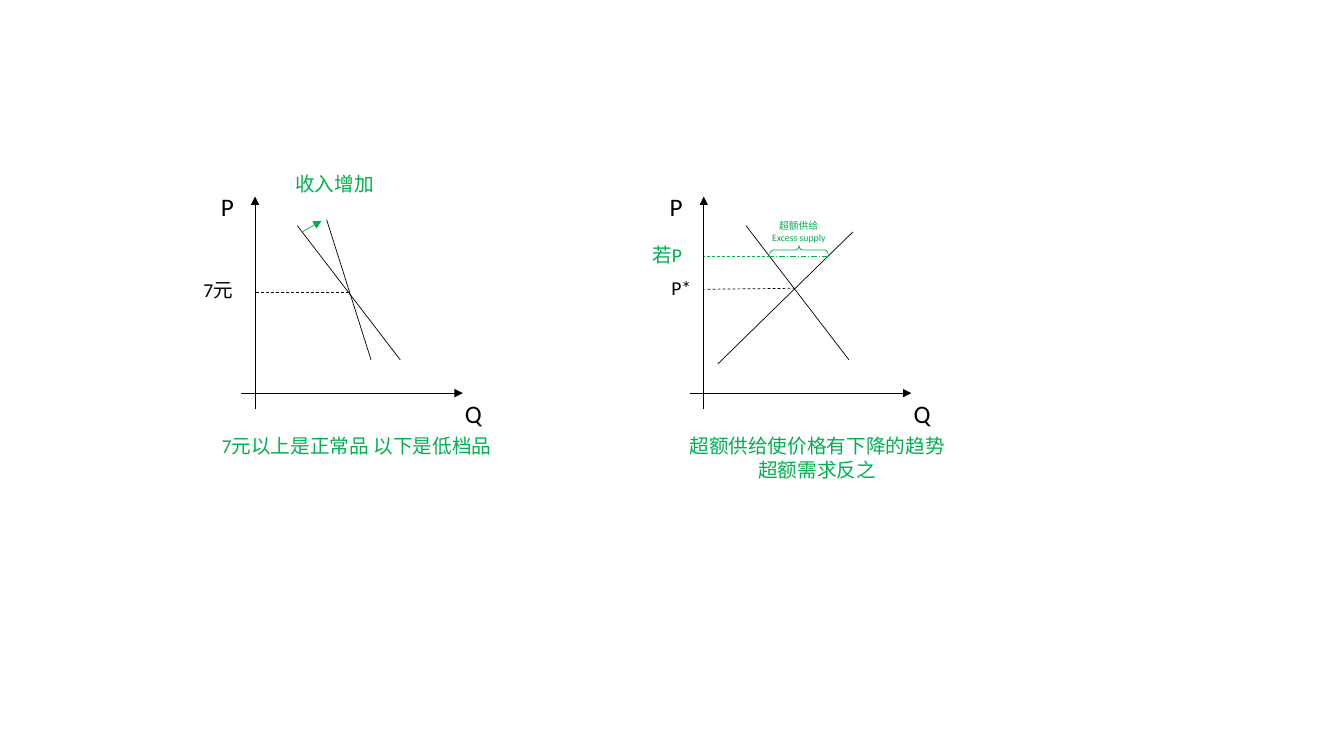
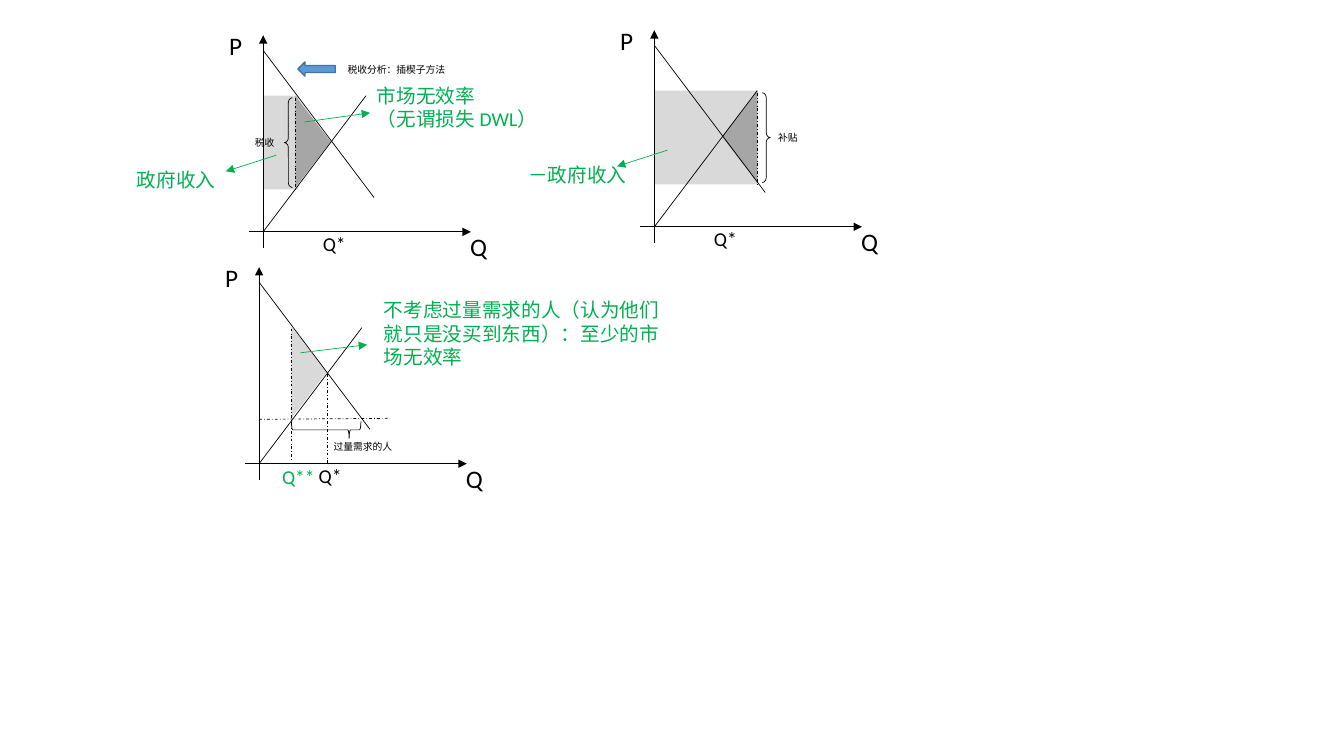
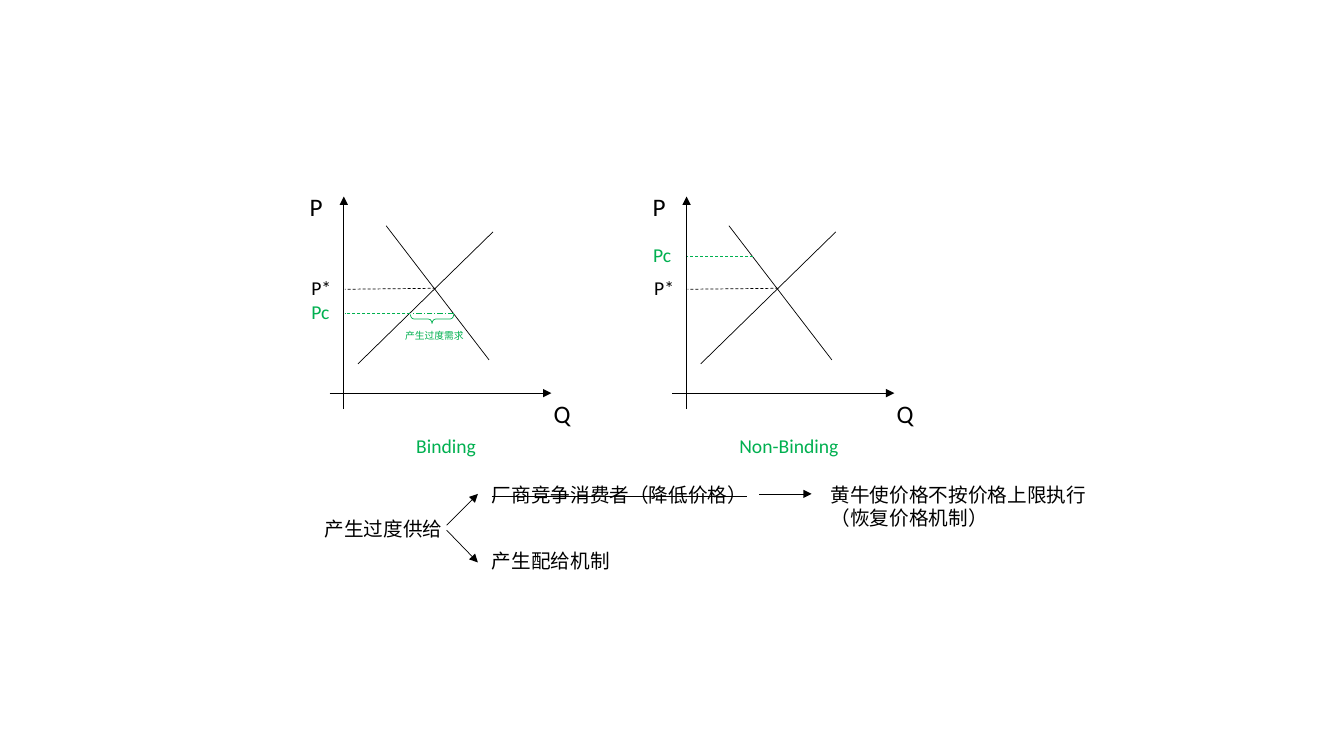
"""Build three slides of supply and demand diagrams."""
from pptx import Presentation
from pptx.dml.color import RGBColor
from pptx.enum.dml import MSO_LINE
from pptx.enum.shapes import MSO_CONNECTOR, MSO_SHAPE
from pptx.enum.text import MSO_AUTO_SIZE, PP_ALIGN
from pptx.oxml.ns import qn
from pptx.util import Inches, Pt

BLACK = RGBColor(0, 0, 0)
GREEN = RGBColor(0x00, 0xB0, 0x50)
LIGHT = RGBColor(0xD9, 0xD9, 0xD9)
DARK = RGBColor(0xA6, 0xA6, 0xA6)
BLUE = RGBColor(0x5B, 0x9B, 0xD5)
NAVY = RGBColor(0x43, 0x73, 0x9E)
FONT = "Calibri"
LARGE, MEDIUM, SMALL = 18, 14, 7

STRAIGHT = MSO_CONNECTOR.STRAIGHT
DASH, DASH_DOT, LONG_DASH_DOT = MSO_LINE.DASH, MSO_LINE.DASH_DOT, MSO_LINE.LONG_DASH_DOT
RECTANGLE, TRIANGLE = MSO_SHAPE.RECTANGLE, MSO_SHAPE.ISOSCELES_TRIANGLE
LEFT_BRACE, RIGHT_BRACE = MSO_SHAPE.LEFT_BRACE, MSO_SHAPE.RIGHT_BRACE
DOWN_ARROW = MSO_SHAPE.DOWN_ARROW
FIT_TEXT = MSO_AUTO_SIZE.SHAPE_TO_FIT_TEXT
CENTER = PP_ALIGN.CENTER

ARROW = {"arrow": True}
GREEN_ARROW = {"arrow": True, "color": GREEN}
GREEN_DASH = {"color": GREEN, "dash": DASH}
GREEN_DASH_DOT = {"color": GREEN, "dash": LONG_DASH_DOT}
BLACK_DASH = {"dash": DASH}
BLACK_DASH_DOT = {"dash": DASH_DOT}
CENTERED = {"align": CENTER}

# Diagram parts are measured from the point where the axes cross.
AXES = [(0, 0.16, 0, -1.95, ARROW), (-0.14, 0, 2.06, 0, ARROW)]
DEMAND = (0.42, -1.66, 1.44, -0.33, {})
P_LABEL = ("P", -0.43, -2.05, 0.19, LARGE, BLACK, {})
DIAGRAMS = {
    "income": {
        "lines": [DEMAND, (0.71, -1.72, 1.15, -0.33, {})],
        "texts": [P_LABEL, ("Q", 1.99, 0, 0.19, LARGE, BLACK, {})],
    },
    "market": {
        "lines": [DEMAND, (1.48, -1.6, 0.14, -0.29, {}),
                  (0.91, -1.04, 0.01, -1.03, BLACK_DASH)],
        "texts": [P_LABEL, ("Q", 1.99, 0, 0.19, LARGE, BLACK, {}),
                  ("P*", -0.42, -1.21, 0.56, MEDIUM, BLACK, {})],
    },
    "welfare": {
        "lines": [(0, -1.8, 1.1, -0.34, {}), (0, 0, 1.02, -1.35, {})],
        "texts": [P_LABEL, ("Q", 1.96, -0.05, 0.19, LARGE, BLACK, {}),
                  ("Q*", 0.46, -0.05, 0.49, MEDIUM, BLACK, CENTERED)],
    },
}

INCOME_PAGE = {
    "areas": [],
    "diagrams": [("income", 2.53, 3.9), ("market", 6.98, 3.9)],
    "lines": [
        (3, 2.3, 3.19, 2.19, GREEN_ARROW),
        (3.46, 2.9, 2.53, 2.9, BLACK_DASH),
        (7.64, 2.54, 6.98, 2.54, GREEN_DASH),
        (8.21, 2.54, 7.61, 2.54, GREEN_DASH_DOT),
    ],
    "marks": [(RIGHT_BRACE, 7.88, 2.19, 0.09, 0.58, 270, (0.4, 0.5), None, GREEN, 0.5)],
    "texts": [
        ("收入增加", 2.83, 1.66, 1.76, MEDIUM, GREEN, {}),
        ("7元", 1.92, 2.71, 1.76, MEDIUM, BLACK, {}),
        ("7元以上是正常品 以下是低档品", 2.1, 4.26, 3.11, MEDIUM, GREEN, {}),
        ("超额供给\nExcess supply", 7.56, 2.13, 1.76, SMALL, GREEN, {"indent": 0.07}),
        ("超额供给使价格有下降的趋势\n超额需求反之", 6.55, 4.26, 3.11, MEDIUM, GREEN, CENTERED),
        ("若P", 6.37, 2.36, 0.56, MEDIUM, GREEN, {}),
    ],
}

WELFARE_PAGE = {
    "areas": [
        (RECTANGLE, 2.61, 0.95, 0.35, 0.93, 0, (), LIGHT, None, 0),
        (TRIANGLE, 2.65, 1.23, 0.91, 0.35, 90, (), DARK, None, 0),
        (RECTANGLE, 6.49, 0.9, 1.03, 0.93, 0, (), LIGHT, None, 0),
        (TRIANGLE, 6.88, 1.18, 0.91, 0.35, 270, (), DARK, None, 0),
        (TRIANGLE, 2.61, 3.52, 0.91, 0.35, 90, (), LIGHT, None, 0),
    ],
    "diagrams": [("welfare", 2.61, 2.3), ("welfare", 6.49, 2.25), ("welfare", 2.57, 4.6)],
    "lines": [
        (2.93, 0.97, 2.93, 1.88, BLACK_DASH_DOT),
        (3.02, 1.21, 3.67, 1.12, GREEN_ARROW),
        (2.74, 1.54, 2.24, 1.7, GREEN_ARROW),
        (7.51, 0.92, 7.51, 1.83, BLACK_DASH_DOT),
        (6.62, 1.49, 6.12, 1.65, GREEN_ARROW),
        (3.25, 3.71, 3.25, 4.61, BLACK_DASH_DOT),
        (2.89, 3.26, 2.89, 4.58, BLACK_DASH_DOT),
        (2.98, 3.5, 3.64, 3.42, GREEN_ARROW),
        (2.57, 4.16, 3.87, 4.15, BLACK_DASH_DOT),
    ],
    "marks": [
        (LEFT_BRACE, 2.82, 0.97, 0.08, 0.89, 0, (0.59, 0.5), None, BLACK, 0.5),
        (DOWN_ARROW, 3.07, 0.5, 0.14, 0.37, 90, (), BLUE, NAVY, 1),
        (RIGHT_BRACE, 7.56, 0.92, 0.08, 0.89, 0, (0.59, 0.5), None, BLACK, 0.5),
        (RIGHT_BRACE, 3.15, 3.92, 0.17, 0.69, 90, (0.08, 0.17), None, BLACK, 0.5),
    ],
    "texts": [
        ("市场无效率\n（无谓损失 DWL）", 3.64, 0.78, 3.11, MEDIUM, GREEN, {}),
        ("税收", 2.43, 1.31, 3.11, SMALL, BLACK, {}),
        ("政府收入", 1.26, 1.62, 3.11, MEDIUM, GREEN, {}),
        ("税收分析：插楔子方法", 3.35, 0.58, 1.32, SMALL, BLACK, {}),
        ("补贴", 7.62, 1.26, 0.79, SMALL, BLACK, {}),
        ("－政府收入", 5.14, 1.57, 3.11, MEDIUM, GREEN, {}),
        ("不考虑过量需求的人（认为他们就只是没买到东西）：至少的市场无效率",
         3.71, 2.91, 3.11, MEDIUM, GREEN, {"rows": 3}),
        ("Q**", 2.64, 4.56, 0.64, MEDIUM, GREEN, CENTERED),
        ("过量需求的人", 3.21, 4.32, 3.11, SMALL, BLACK, {}),
    ],
}

CEILING_PAGE = {
    "areas": [],
    "diagrams": [("market", 3.41, 3.9), ("market", 6.81, 3.9)],
    "lines": [
        (4.07, 3.11, 3.42, 3.11, GREEN_DASH),
        (4.5, 3.11, 4.08, 3.11, GREEN_DASH_DOT),
        (7.47, 2.54, 6.81, 2.54, GREEN_DASH),
        (4.43, 5.21, 4.74, 4.9, ARROW),
        (4.43, 5.26, 4.74, 5.58, ARROW),
        (7.53, 4.9, 8.05, 4.9, ARROW),
    ],
    "marks": [(RIGHT_BRACE, 4.24, 2.95, 0.09, 0.43, 90, (0.4, 0.5), None, GREEN, 0.5)],
    "texts": [
        ("Binding", 2.87, 4.26, 3.11, MEDIUM, GREEN, CENTERED),
        ("Non-Binding", 6.27, 4.26, 3.11, MEDIUM, GREEN, CENTERED),
        ("Pc", 2.99, 2.93, 0.56, MEDIUM, GREEN, {}),
        ("Pc", 6.38, 2.36, 0.56, MEDIUM, GREEN, {}),
        ("产生过度需求", 3.85, 3.22, 1.76, SMALL, GREEN, {"indent": 0.07}),
        ("产生过度供给", 2.99, 5.08, 1.76, MEDIUM, BLACK, {"indent": 0.13}),
        ("厂商竞争消费者（降低价格）", 4.78, 4.74, 3.02, MEDIUM, BLACK, {"strike": True}),
        ("产生配给机制", 4.78, 5.4, 3.02, MEDIUM, BLACK, {}),
        ("黄牛使价格不按价格上限执行\n（恢复价格机制）", 8.14, 4.74, 3.02, MEDIUM, BLACK, {}),
    ],
}


def add_line(page, x1, y1, x2, y2, color=BLACK, dash=None, arrow=False):
    line = page.shapes.add_connector(STRAIGHT, *map(Inches, (x1, y1, x2, y2)))
    line.line.color.rgb = color
    line.line.width = Pt(0.5)
    if dash:
        line.line.dash_style = dash
    properties = line._element.spPr
    if arrow:
        outline = line.line._get_or_add_ln()
        outline.append(outline.makeelement(qn("a:tailEnd"), {"type": "triangle"}))
    properties.append(properties.makeelement(qn("a:effectLst"), {}))


def add_mark(page, kind, x, y, width, height, turn, adjustments, fill, color, weight):
    shape = page.shapes.add_shape(kind, *map(Inches, (x, y, width, height)))
    shape.shadow.inherit = False
    shape.rotation = turn
    for index, value in enumerate(adjustments):
        shape.adjustments[index] = value
    if fill is None:
        shape.fill.background()
    else:
        shape.fill.solid()
        shape.fill.fore_color.rgb = fill
    if color is None:
        shape.line.fill.background()
    else:
        shape.line.color.rgb = color
        shape.line.width = Pt(weight)


def add_text(page, text, x, y, width, size, color, align=None, indent=0, strike=False, rows=0):
    rows = rows or text.count("\n") + 1
    height = 0.1 + rows * size / 60
    box = page.shapes.add_textbox(*map(Inches, (x, y, width, height)))
    frame = box.text_frame
    frame.word_wrap = True
    frame.auto_size = FIT_TEXT
    frame.text = text
    if indent:
        frame.paragraphs[0]._p.get_or_add_pPr().set("marL", str(Inches(indent)))
    for para in frame.paragraphs:
        para.alignment = align
        for span in para.runs:
            span.font.name = FONT
            span.font.size = Pt(size)
            span.font.color.rgb = color
            if strike:
                span.font._element.set("strike", "sngStrike")


def add_diagram(page, kind, x, y):
    diagram = DIAGRAMS[kind]
    for x1, y1, x2, y2, style in AXES + diagram["lines"]:
        add_line(page, x + x1, y + y1, x + x2, y + y2, **style)
    for text, left, top, width, size, color, style in diagram["texts"]:
        add_text(page, text, x + left, y + top, width, size, color, **style)


deck = Presentation()
deck.slide_width, deck.slide_height = Inches(13.33), Inches(7.5)
for content in (INCOME_PAGE, WELFARE_PAGE, CEILING_PAGE):
    page = deck.slides.add_slide(deck.slide_layouts[6])
    for area in content["areas"]:
        add_mark(page, *area)
    for diagram in content["diagrams"]:
        add_diagram(page, *diagram)
    for *ends, style in content["lines"]:
        add_line(page, *ends, **style)
    for mark in content["marks"]:
        add_mark(page, *mark)
    for *label, style in content["texts"]:
        add_text(page, *label, **style)
deck.save("out.pptx")
